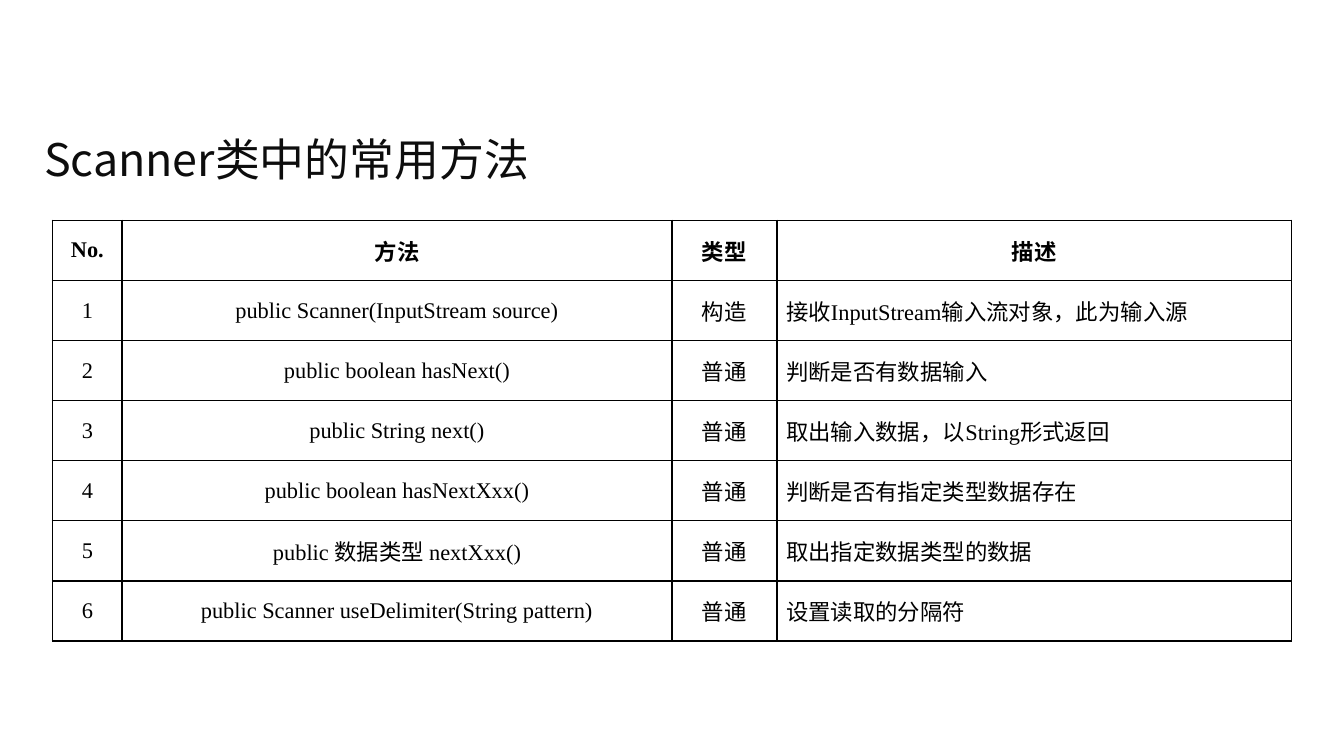
"""Build a slide listing the common methods of the Scanner class."""
from lxml import etree
from pptx import Presentation
from pptx.dml.color import RGBColor
from pptx.enum.text import MSO_ANCHOR, PP_ALIGN
from pptx.oxml.ns import qn
from pptx.util import Inches, Pt

LEFT, CENTER, JUSTIFY = PP_ALIGN.LEFT, PP_ALIGN.CENTER, PP_ALIGN.JUSTIFY
MIDDLE = MSO_ANCHOR.MIDDLE
SANS, SERIF = "Noto Sans CJK SC", "Times New Roman"
BLACK, INK = "000000", "0D0D0D"

TITLE = "Scanner类中的常用方法"
HEADER = ("No.", "方法", "类型", "描述")
METHODS = [
    ("public Scanner(InputStream source)", "构造", "接收InputStream输入流对象，此为输入源"),
    ("public boolean hasNext()", "普通", "判断是否有数据输入"),
    ("public String next()", "普通", "取出输入数据，以String形式返回"),
    ("public boolean hasNextXxx()", "普通", "判断是否有指定类型数据存在"),
    ("public 数据类型 nextXxx()", "普通", "取出指定数据类型的数据"),
    ("public Scanner useDelimiter(String pattern)", "普通", "设置读取的分隔符"),
]
SLIDE_WIDTH = 10
SLIDE_HEIGHT = SLIDE_WIDTH * 9 / 16
COLUMN_WIDTHS = (0.52, 4.09, 0.78, 3.83)
TABLE_LEFT, TABLE_TOP, TABLE_HEIGHT = 0.39, 1.64, 3.13
CELL_MARGIN = 0.07


def color(value):
    return RGBColor.from_string(value)


def write(frame, text, size=12, font=SERIF, fill=BLACK, bold=False, align=LEFT):
    frame.word_wrap = True
    paragraph = frame.paragraphs[0]
    paragraph.alignment = align
    run = paragraph.add_run()
    run.text = text
    run.font.size, run.font.bold = Pt(size), bold
    run.font.color.rgb = color(fill)
    run.font.name = font
    east_asian = etree.SubElement(run.font._element, qn("a:ea"))
    east_asian.set("typeface", SANS)


def add_borders(cell, fill=BLACK, width=1):
    properties = cell._tc.get_or_add_tcPr()
    for position, side in enumerate(("lnL", "lnR", "lnT", "lnB")):
        line = etree.Element(qn(f"a:{side}"), w=str(Pt(width)))
        solid = etree.SubElement(line, qn("a:solidFill"))
        etree.SubElement(solid, qn("a:srgbClr"), val=fill)
        properties.insert(position, line)


def add_title(slide):
    box = slide.shapes.add_textbox(Inches(0.23), Inches(0.86), Inches(9.53), Inches(0.64))
    box.text_frame.vertical_anchor = MIDDLE
    write(box.text_frame, TITLE, size=24, font=SANS, fill=INK)


def add_methods(slide):
    rows = [HEADER] + [(str(number), *method) for number, method in enumerate(METHODS, 1)]
    table = slide.shapes.add_table(
        len(rows), len(HEADER), Inches(TABLE_LEFT), Inches(TABLE_TOP),
        Inches(sum(COLUMN_WIDTHS)), Inches(TABLE_HEIGHT)).table
    table.horz_banding = False
    for column, width in zip(table.columns, COLUMN_WIDTHS):
        column.width = Inches(width)
    for row_index, row in enumerate(rows):
        is_header = row_index == 0
        for column_index, text in enumerate(row):
            cell = table.cell(row_index, column_index)
            cell.fill.background()
            cell.vertical_anchor = MIDDLE
            cell.margin_left = cell.margin_right = Inches(CELL_MARGIN)
            cell.margin_top = cell.margin_bottom = 0
            is_description = column_index == len(HEADER) - 1 and not is_header
            write(cell.text_frame, text, bold=is_header,
                  align=JUSTIFY if is_description else CENTER)
            add_borders(cell)


def main():
    presentation = Presentation()
    presentation.slide_width = Inches(SLIDE_WIDTH)
    presentation.slide_height = Inches(SLIDE_HEIGHT)
    slide = presentation.slides.add_slide(presentation.slide_layouts[6])
    add_title(slide)
    add_methods(slide)
    presentation.save("out.pptx")


if __name__ == "__main__":
    main()
